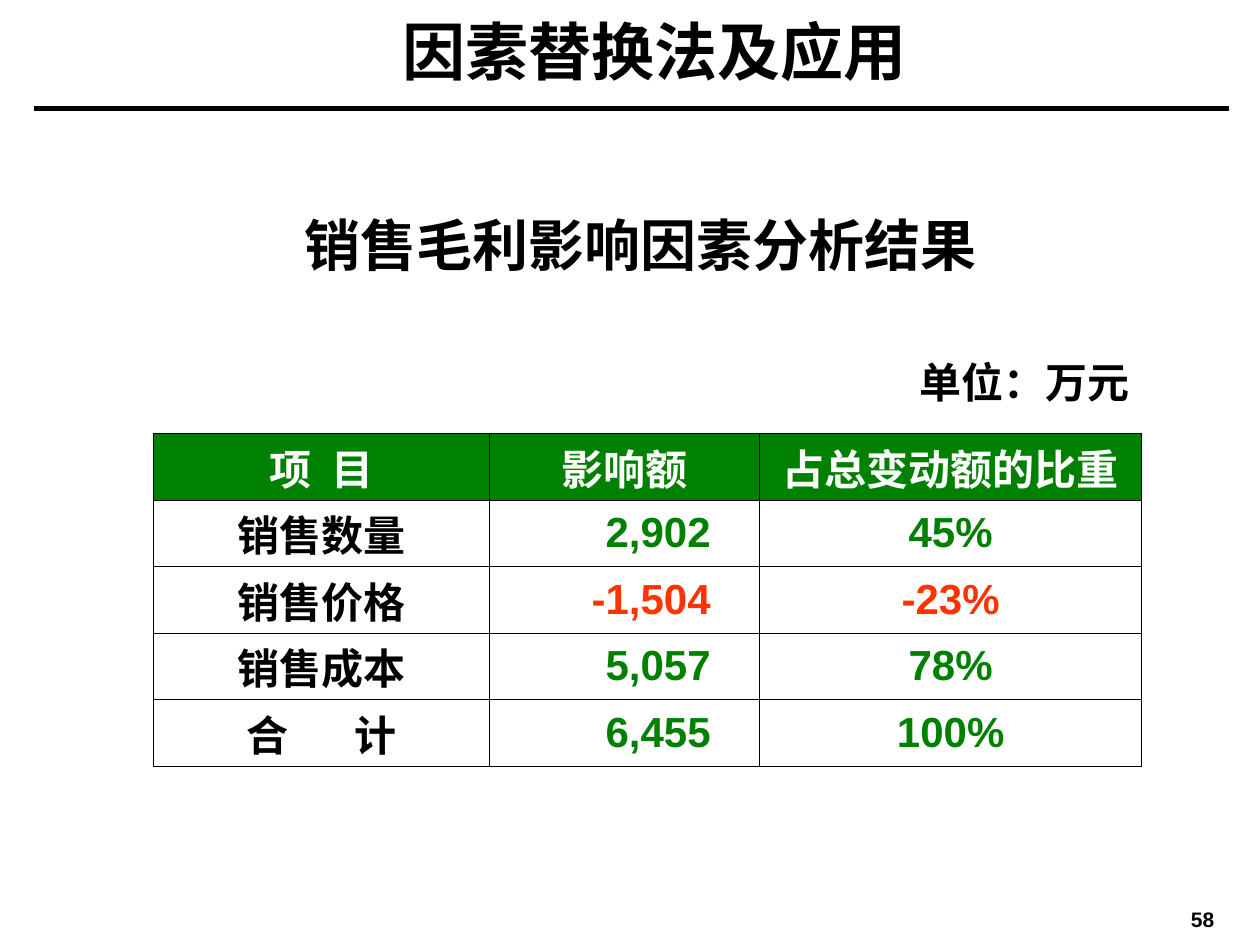
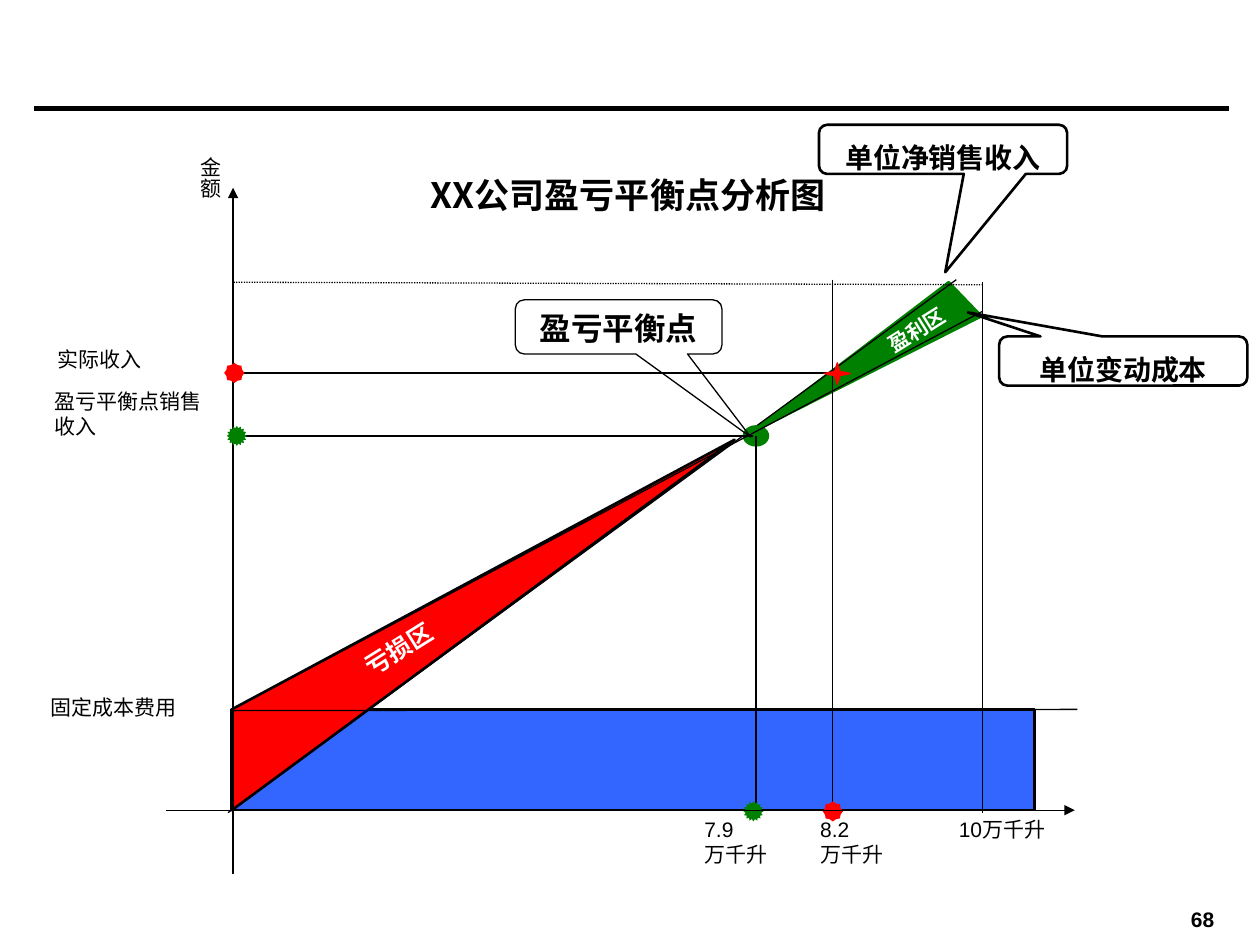
"""Build two finance slides: a factor analysis table and a break-even diagram."""
import dataclasses

import lxml.etree
import pptx
import pptx.dml.color
import pptx.enum.dml
import pptx.enum.shapes
import pptx.enum.text
import pptx.oxml.ns
import pptx.util

PX = 9144
SHAPE = pptx.enum.shapes.MSO_SHAPE
ALIGN = pptx.enum.text.PP_ALIGN
ANCHOR = pptx.enum.text.MSO_ANCHOR
qn = pptx.oxml.ns.qn


@dataclasses.dataclass(frozen=True)
class Theme:
    """Colours, fonts and type sizes."""
    ink: str = "000000"
    paper: str = "FFFFFF"
    green: str = "008000"
    red: str = "FF0000"
    blue: str = "3366FF"
    negative: str = "FF3300"
    serif: str = "Times New Roman"
    sans: str = "Arial"
    cjk: str = "Noto Sans CJK SC"
    title: int = 36
    subtitle: int = 32
    table: int = 24
    diagram_title: int = 20
    balance: int = 18
    callout: int = 16
    zone: int = 14
    label: int = 12
    hairline: float = 0.45
    thin: float = 0.75
    medium: float = 1.5
    rule: float = 3


T = Theme()


def emu(*lengths):
    """Turn px lengths into EMU."""
    return [pptx.util.Emu(round(v * PX)) for v in lengths]


def rgb(color):
    """Return a colour object for a hex string."""
    return pptx.dml.color.RGBColor.from_string(color)


def format_runs(p, size, color, font, bold):
    """Format every run of a paragraph, East Asian font included."""
    for r in p.runs:
        r.font.size = pptx.util.Pt(size)
        r.font.bold = bold
        r.font.name = font
        r.font.color.rgb = rgb(color)
        rPr = r._r.get_or_add_rPr()
        ea = lxml.etree.Element(qn("a:ea"), typeface=T.cjk)
        rPr.find(qn("a:latin")).addnext(ea)


def write(sp, text, size, color=T.ink, font=T.sans, bold=False,
          align=ALIGN.LEFT, anchor=ANCHOR.TOP, inset=(5, 3, 5, 3)):
    """Fill a shape with formatted text."""
    tf = sp.text_frame
    tf.text = text
    tf.word_wrap = True
    tf.auto_size = pptx.enum.text.MSO_AUTO_SIZE.NONE
    tf.vertical_anchor = anchor
    (tf.margin_left, tf.margin_top,
     tf.margin_right, tf.margin_bottom) = emu(*inset)
    for p in tf.paragraphs:
        p.alignment = align
        if anchor == ANCHOR.TOP:
            p.line_spacing = pptx.util.Pt(size * 1.2)
        format_runs(p, size, color, font, bold)
    return sp


def text_box(s, box, text, size, **style):
    """Add a text box."""
    return write(s.shapes.add_textbox(*emu(*box)), text, size, **style)


def set_title(s, box, text, size, **style):
    """Move the title placeholder and format it."""
    sp = s.shapes.title
    sp.left, sp.top, sp.width, sp.height = emu(*box)
    write(sp, text, size, bold=True, align=ALIGN.CENTER, **style)


def paint(sp, fill=None, line=None, width=T.thin):
    """Set fill and outline and drop the shadow."""
    sp.shadow.inherit = False
    if fill:
        sp.fill.solid()
        sp.fill.fore_color.rgb = rgb(fill)
    else:
        sp.fill.background()
    if line:
        sp.line.color.rgb = rgb(line)
        sp.line.width = pptx.util.Pt(width)
    else:
        sp.line.fill.background()
    return sp


def preset(s, kind, box, adjust=(), **look):
    """Add a painted preset shape."""
    sp = s.shapes.add_shape(kind, *emu(*box))
    for i, value in enumerate(adjust):
        sp.adjustments[i] = value
    return paint(sp, **look)


def polygon(s, points, **look):
    """Add a painted closed outline."""
    start, *rest = points
    builder = s.shapes.build_freeform(*start, scale=PX)
    builder.add_line_segments(rest, close=True)
    return paint(builder.convert_to_shape(), **look)


def line(s, start, end, width=T.thin, dotted=False, arrow=False):
    """Add a straight line."""
    cx = s.shapes.add_connector(pptx.enum.shapes.MSO_CONNECTOR.STRAIGHT,
                                *emu(*start, *end))
    cx.line.color.rgb = rgb(T.ink)
    cx.line.width = pptx.util.Pt(width)
    if dotted:
        cx.line.dash_style = pptx.enum.dml.MSO_LINE.ROUND_DOT
    if arrow:
        lxml.etree.SubElement(cx.line._get_or_add_ln(), qn("a:tailEnd"),
                              type="triangle")
    lxml.etree.SubElement(cx._element.spPr, qn("a:effectLst"))


def new_slide(prs, number):
    """Add a slide with the header rule and page number."""
    s = prs.slides.add_slide(prs.slide_layouts[5])
    line(s, (27, 86), (975, 86), T.rule)
    text_box(s, (921, 721, 67, 17), str(number), T.label, bold=True,
             align=ALIGN.CENTER, anchor=ANCHOR.MIDDLE, inset=(10, 0, 10, 0))
    return s


def border_cell(cell):
    """Draw a hairline on all four sides of a cell."""
    tcPr = cell._tc.get_or_add_tcPr()
    for i, side in enumerate("LRTB"):
        ln = lxml.etree.Element(qn(f"a:ln{side}"),
                                w=str(pptx.util.Pt(T.hairline)))
        fill = lxml.etree.SubElement(ln, qn("a:solidFill"))
        lxml.etree.SubElement(fill, qn("a:srgbClr"), val=T.ink)
        tcPr.insert(i, ln)


def spread(p, points):
    """Widen the gap in a two-character label."""
    last = p.add_run()
    last.text = p.runs[0].text[-1]
    p.runs[0].text = p.runs[0].text[:-1]
    p.runs[0]._r.get_or_add_rPr().set("spc", str(points * 100))


def factor_table(s, box, rows, widths, gaps):
    """Add the table of factors within a box."""
    frame = s.shapes.add_table(len(rows), len(widths), *emu(*box))
    table = frame.table
    table.first_row = table.horz_banding = False
    for col, width in zip(table.columns, emu(*widths)):
        col.width = width
    for i, row in enumerate(rows):
        table.rows[i].height = emu(box[3] / len(rows))[0]
        for j, text in enumerate(row):
            cell = table.cell(i, j)
            amount = i > 0 and j == 1
            cell.vertical_anchor = ANCHOR.MIDDLE
            (cell.margin_left, cell.margin_top, cell.margin_right,
             cell.margin_bottom) = emu(10, 2, 39 if amount else 10, 2)
            cell.text = text
            p = cell.text_frame.paragraphs[0]
            p.alignment = ALIGN.RIGHT if amount else ALIGN.CENTER
            if text in gaps:
                spread(p, gaps[text])
            if i == 0:
                color = T.paper
            elif j == 0:
                color = T.ink
            else:
                color = T.negative if text.startswith("-") else T.green
            font = T.sans if i and j else T.cjk
            format_runs(p, T.table, color, font, True)
            if i == 0:
                cell.fill.solid()
                cell.fill.fore_color.rgb = rgb(T.green)
            else:
                cell.fill.background()
            border_cell(cell)


def factor_slide(prs):
    """Build the factor analysis slide."""
    s = new_slide(prs, 58)
    heading = dict(font=T.serif, anchor=ANCHOR.MIDDLE, inset=(10, 5, 10, 5))
    set_title(s, (185, 5, 669, 70), "因素替换法及应用", T.title, **heading)
    text_box(s, (720, 278, 189, 50), "单位：万元", T.table, bold=True, **heading)
    rows = [("项 目", "影响额", "占总变动额的比重"),
            ("销售数量", "2,902", "45%"),
            ("销售价格", "-1,504", "-23%"),
            ("销售成本", "5,057", "78%"),
            ("合 计", "6,455", "100%")]
    factor_table(s, (122, 344, 785, 264), rows, (266, 215, 303),
                 {"项 目": 3, "合 计": 16})
    text_box(s, (154, 162, 709, 64), "销售毛利影响因素分析结果", T.subtitle,
             bold=True, align=ALIGN.CENTER, **heading)


def callout(s, box, text, size, adjust, top, width):
    """Add a rounded callout."""
    sp = preset(s, SHAPE.ROUNDED_RECTANGULAR_CALLOUT, box, (*adjust, 0.167),
                line=T.ink, width=width)
    write(sp, text, size, bold=True, align=ALIGN.CENTER, inset=(4, top, 4, 3))


def zone_label(s, box, text, size):
    """Add a slanted white label on a coloured zone."""
    sp = preset(s, SHAPE.FLOWCHART_PROCESS, box)
    sp.rotation = 328
    write(sp, text, size, T.paper, bold=True, align=ALIGN.CENTER,
          anchor=ANCHOR.MIDDLE)


def marker(s, center, kind, inner, color):
    """Add a star marker centred on a point."""
    x, y = center
    preset(s, kind, (x - 8, y - 8, 16, 16), (inner,), fill=color)


def break_even_diagram(s, box):
    """Draw the break-even diagram within a box."""
    left, top, width, height = box
    x0, y0 = left + 150, top + 544
    even_x, actual_x, full_x = x0 + 415, x0 + 476, x0 + 595
    fixed_y, even_y, actual_y, full_y = y0 - 80, y0 - 297, y0 - 347, y0 - 418

    polygon(s, [(full_x - 27, full_y - 1), (full_x - 1, full_y + 26),
                (even_x - 5, even_y - 2)],
            fill=T.green, line=T.green, width=T.medium)
    preset(s, SHAPE.RECTANGLE, (x0 - 1, fixed_y, 637, 80),
           fill=T.blue, line=T.ink, width=T.medium)
    polygon(s, [(x0 - 1, fixed_y), (even_x - 17, even_y + 3), (x0 - 1, y0)],
            fill=T.red, line=T.ink, width=T.medium)
    line(s, (x0, top + height), (x0, top + 50), arrow=True)
    line(s, (full_x, y0 + 2), (full_x, full_y - 1))
    line(s, (full_x, full_y + 1), (x0, full_y - 1), dotted=True)
    line(s, (x0, fixed_y + 1), (x0 + 670, fixed_y))
    line(s, (x0 - 4, y0 + 2), (full_x - 21, full_y - 3))

    labels = [(full_x - 24, y0 + 2, 107, "10万千升"),
              (actual_x - 15, y0 + 2, 142, "8.2\n万千升"),
              (even_x - 46, y0 + 2, 123, "7.9\n万千升"),
              (left + 3, even_y - 41, 132, "盈亏平衡点销售收入"),
              (left, fixed_y - 15, 164, "固定成本费用"),
              (left + 6, actual_y - 24, 131, "实际收入")]
    for x, y, w, text in labels:
        text_box(s, (x, y, w, 55), text, T.label)
    axis = text_box(s, (x0 - 71, top + 16, 66, 109), "金额", T.label,
                    inset=(3, 5, 3, 5))
    axis.text_frame._txBody.bodyPr.set("vert", "eaVert")

    zone_label(s, (x0 + 24, fixed_y - 72, 215, 47), "亏损区", T.zone)
    preset(s, SHAPE.OVAL, (even_x - 10, even_y - 8, 20, 16),
           fill=T.green, line=T.green)
    callout(s, (x0 + 224, full_y + 13, 164, 43), "盈亏平衡点", T.balance,
            (0.639, 2.034), 5, T.thin)
    zone_label(s, (full_x - 160, full_y + 13, 215, 47), "盈利区", T.label)

    line(s, (even_x, even_y), (even_x, y0 + 2))
    line(s, (even_x - 2, even_y), (x0 - 2, even_y))
    line(s, (actual_x, full_y - 3), (actual_x, y0 + 1))
    line(s, (actual_x, actual_y), (x0 - 1, actual_y))
    preset(s, SHAPE.STAR_4_POINT, (actual_x - 7, actual_y - 8, 21, 17),
           (0.14,), fill=T.red, line=T.red)
    for point in [(x0 + 3, even_y), (even_x - 2, y0 + 1)]:
        marker(s, point, SHAPE.STAR_16_POINT, 0.39, T.green)
    for point in [(x0 + 1, actual_y), (actual_x, y0 + 1)]:
        marker(s, point, SHAPE.STAR_8_POINT, 0.42, T.red)
    line(s, (x0 + 3, fixed_y - 2), (full_x, full_y + 22))
    line(s, (x0 - 53, y0), (x0 + 668, y0), arrow=True)

    callout(s, (left + 615, top, 197, 39), "单位净销售收入", T.callout,
            (0.009, 2.5), 11, T.medium)
    callout(s, (left + 758, top + 168, 197, 39), "单位变动成本", T.callout,
            (-0.626, -0.989), 11, T.medium)


def break_even_slide(prs):
    """Build the break-even slide."""
    s = new_slide(prs, 68)
    set_title(s, (99, 135, 799, 97), "XX公司盈亏平衡点分析图",
              T.diagram_title, font=T.cjk)
    break_even_diagram(s, (35, 99, 955, 595))


def main():
    """Build and save the presentation."""
    prs = pptx.Presentation()
    prs.slide_width, prs.slide_height = emu(1000, 750)
    factor_slide(prs)
    break_even_slide(prs)
    prs.save("out.pptx")


if __name__ == "__main__":
    main()
